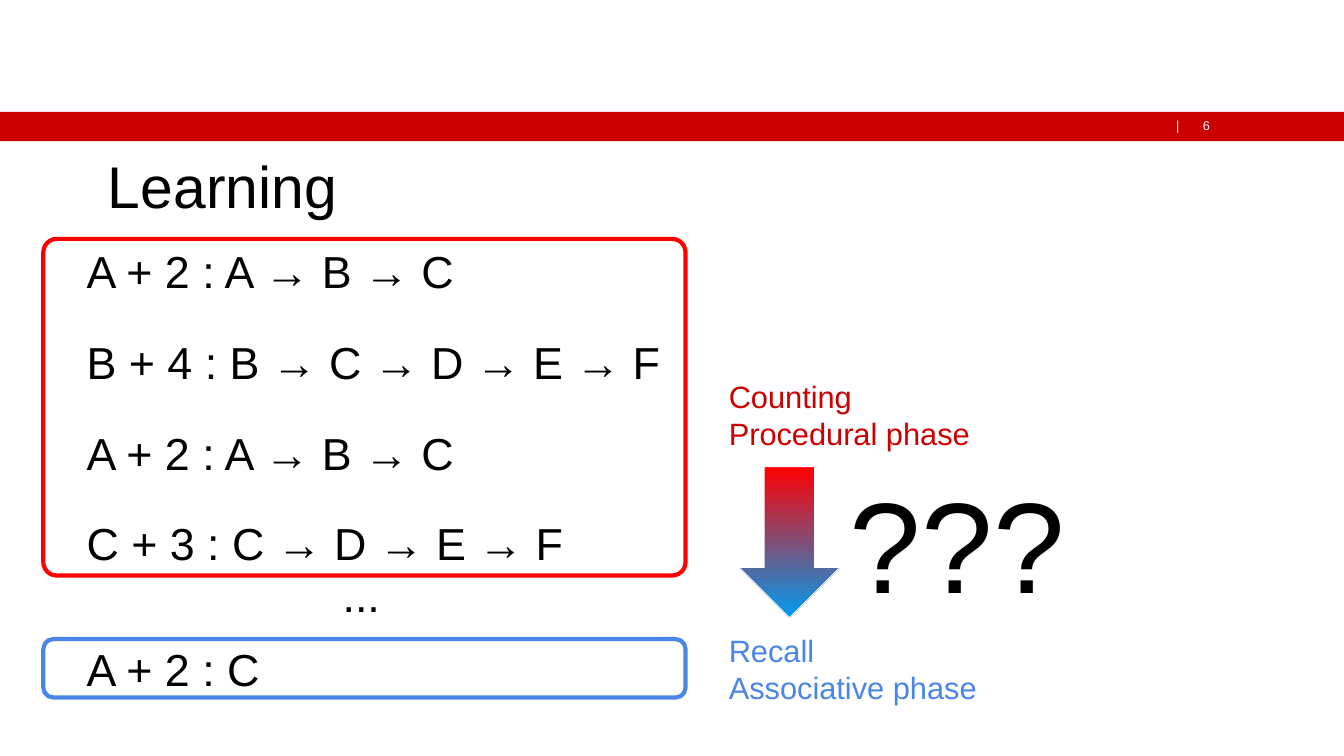
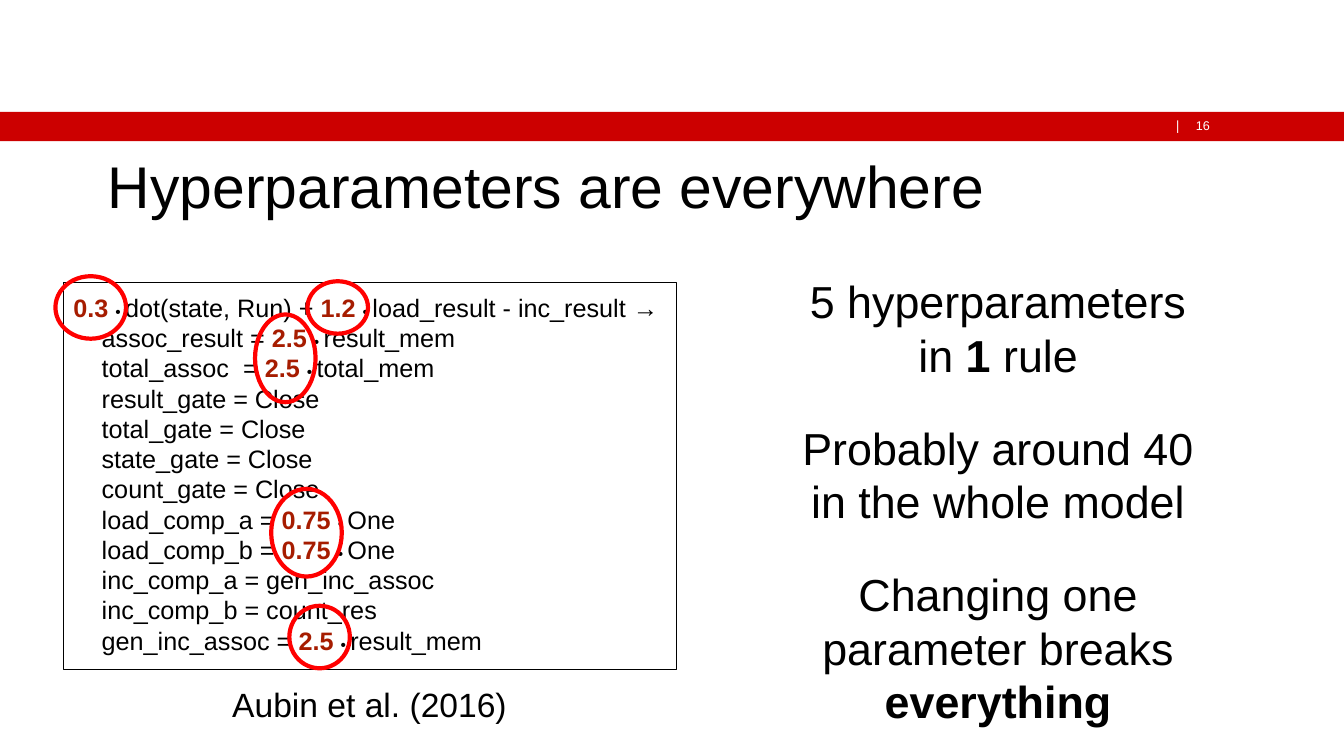
from pptx import Presentation
from pptx.dml.color import RGBColor
from pptx.enum.shapes import MSO_SHAPE
from pptx.enum.text import MSO_ANCHOR, PP_ALIGN
from pptx.util import Inches, Pt

LEFT, CENTER, RIGHT = PP_ALIGN.LEFT, PP_ALIGN.CENTER, PP_ALIGN.RIGHT
TOP, MIDDLE = MSO_ANCHOR.TOP, MSO_ANCHOR.MIDDLE
RECTANGLE, ROUNDED = MSO_SHAPE.RECTANGLE, MSO_SHAPE.ROUNDED_RECTANGLE
ELLIPSE, DOWN_ARROW = MSO_SHAPE.OVAL, MSO_SHAPE.DOWN_ARROW

BLACK, WHITE, CRIMSON = "000000", "FFFFFF", "CC0000"
RED, BLUE, SKY, RUST = "FF0000", "4A86E8", "009CEF", "A61C00"
FONT, SYMBOL_FONT = "Arial", "DejaVu Sans"
LINE_HEIGHT = 1.2
TITLE_ONLY = 5

PROBLEMS = [
    "A + 2 : A → B → C",
    "B + 4 : B → C → D → E → F",
    "A + 2 : A → B → C",
    "C + 3 : C → D → E → F",
]
RULE = [
    "*0.3 |• |dot(state, Run) + |*1.2 |• |load_result - inc_result →",
    "assoc_result = |*2.5 |• |result_mem",
    "total_assoc  = |*2.5 |• |total_mem",
    "result_gate = Close",
    "total_gate = Close",
    "state_gate = Close",
    "count_gate = Close",
    "load_comp_a = |*0.75 |• |One",
    "load_comp_b = |*0.75 |• |One",
    "inc_comp_a = gen_inc_assoc",
    "inc_comp_b = count_res",
    "gen_inc_assoc = |*2.5 |• |result_mem",
]
HYPERPARAMETER_RINGS = [
    (0.55, 2.74, 0.7, 0.62),
    (2.53, 3.12, 0.6, 0.87),
    (3.05, 2.79, 0.6, 0.52),
    (2.69, 4.85, 0.7, 0.87),
    (2.87, 6.01, 0.6, 0.62),
]
FINDINGS = [
    ("5 hyperparameters in |*1| rule", 1.28),
    ("Probably around 40 in the whole model", 1.28),
    ("Changing one parameter breaks |*everything", 1.82),
]


def rgb(value):
    return RGBColor.from_string(value)


class Deck:
    def __init__(self):
        self.presentation = Presentation()
        self.presentation.slide_width = Inches(13.33)
        self.presentation.slide_height = Inches(7.5)
        self.slide = None

    def start(self, title, number):
        layout = self.presentation.slide_layouts[TITLE_ONLY]
        self.slide = self.presentation.slides.add_slide(layout)
        self.shape(RECTANGLE, (0, 1.11, 13.33, 0.29), fill=CRIMSON)
        self.text((11.66, 1.17, 0.06, 0.15), ["|"], 9, WHITE,
                  font=SYMBOL_FONT, inset=0, separator=None)
        self.text((11.72, 1.17, 0.28, 0.15), [number], 9, WHITE, RIGHT, inset=0)
        heading = self.slide.shapes.title
        heading.left, heading.top = Inches(0), Inches(1.4)
        heading.width, heading.height = Inches(13.33), Inches(0.87)
        frame = heading.text_frame
        frame.text = title
        frame.vertical_anchor = MIDDLE
        frame.margin_left, frame.margin_right = Inches(1.07), Inches(0.3)
        frame.paragraphs[0].alignment = LEFT
        self.style(frame.paragraphs[0].runs[0], 42, BLACK)

    def style(self, run, size, color, font=FONT, bold=False):
        run.font.name = font
        run.font.size = Pt(size)
        run.font.bold = bold
        run.font.color.rgb = rgb(color)

    def shape(self, preset, box, fill=None, line=None, width=3, adjust=None):
        shape = self.slide.shapes.add_shape(preset, *map(Inches, box))
        shape.shadow.inherit = False
        if fill:
            shape.fill.solid()
            shape.fill.fore_color.rgb = rgb(fill)
        else:
            shape.fill.background()
        if line:
            shape.line.color.rgb = rgb(line)
            shape.line.width = Pt(width)
        else:
            shape.line.fill.background()
        if adjust is not None:
            shape.adjustments[0] = adjust
        return shape

    def gradient_arrow(self, box, start, end):
        arrow = self.shape(DOWN_ARROW, box, line=WHITE, width=0.75)
        arrow.fill.gradient()
        arrow.fill.gradient_angle = 270
        for stop, color in zip(arrow.fill.gradient_stops, (start, end)):
            stop.color.rgb = rgb(color)

    def text(self, box, lines, size, color=BLACK, align=LEFT, **options):
        frame = self.slide.shapes.add_textbox(*map(Inches, box)).text_frame
        self.fill_frame(frame, lines, size, color, align, **options)

    def fill_frame(self, frame, lines, size, color=BLACK, align=LEFT, font=FONT,
                   inset=0.1, separator="|", accent=None, hanging=0):
        frame.word_wrap = True
        frame.vertical_anchor = TOP
        frame.margin_left = frame.margin_right = Inches(inset)
        frame.margin_top = frame.margin_bottom = Inches(inset)
        for index, line in enumerate(lines):
            paragraph = frame.add_paragraph() if index else frame.paragraphs[0]
            paragraph.alignment = align
            paragraph.line_spacing = Pt(size * LINE_HEIGHT)
            if index and hanging:
                paragraph._p.get_or_add_pPr().set("marL", str(Inches(hanging)))
            for piece in line.split(separator) if separator else [line]:
                strong = piece.startswith("*")
                run = paragraph.add_run()
                run.text = piece.removeprefix("*")
                self.style(run, 11 if piece == "• " else size,
                           accent if strong and accent else color, font, strong)

    def code(self, box, lines):
        panel = self.shape(RECTANGLE, box, line=BLACK, width=0.75)
        self.fill_frame(panel.text_frame, lines, 18, accent=RUST, hanging=0.28)


def build_learning(deck):
    deck.start("Learning", "6")
    deck.shape(ROUNDED, (0.43, 6.34, 6.37, 0.58), line=BLUE, adjust=0.17)
    deck.shape(ROUNDED, (0.43, 2.37, 6.37, 3.34), line=RED, adjust=0.04)
    for row, problem in enumerate(PROBLEMS):
        deck.text((0.76, 2.32 + 0.9 * row, 5.91, 0.74), [problem], 32)
    deck.text((3.3, 5.53, 0.63, 0.74), ["..."], 32)
    deck.text((0.76, 6.27, 5.91, 0.74), ["A + 2 : C"], 32)
    deck.text((7.13, 3.65, 3.48, 0.94), ["Counting", "Procedural phase"], 22, CRIMSON)
    deck.text((7.13, 6.17, 3.48, 0.94), ["Recall", "Associative phase"], 22, BLUE)
    deck.gradient_arrow((7.33, 4.63, 1, 1.5), RED, SKY)
    deck.text((8.1, 4.51, 2.79, 1.75), ["???"], 92, align=CENTER)


def build_hyperparameters(deck):
    deck.start("Hyperparameters are everywhere", "16")
    deck.code((0.63, 2.8, 6.08, 3.84), RULE)
    for ring in HYPERPARAMETER_RINGS:
        deck.shape(ELLIPSE, ring, line=RED)
    deck.text((1.58, 6.68, 4.17, 0.61), ["Aubin et al. (2016)"], 24, align=CENTER)
    for row, (finding, height) in enumerate(FINDINGS):
        deck.text((7.77, 2.62 + 1.45 * row, 4.26, height), [finding], 32, align=CENTER)


def main():
    deck = Deck()
    build_learning(deck)
    build_hyperparameters(deck)
    deck.presentation.save("out.pptx")


if __name__ == "__main__":
    main()
